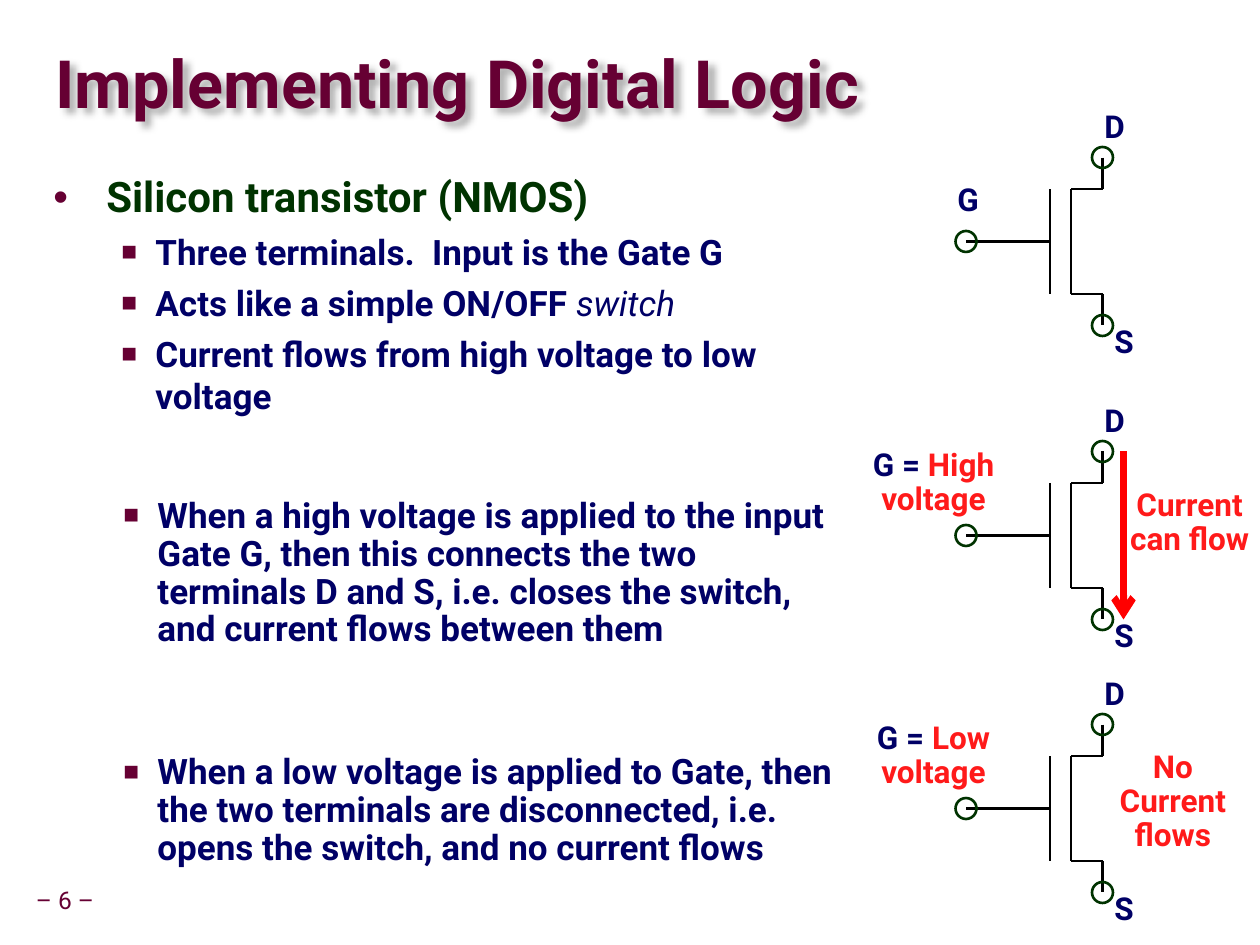
from lxml.etree import SubElement
from pptx import Presentation
from pptx.dml.color import RGBColor
from pptx.enum.shapes import MSO_CONNECTOR, MSO_SHAPE
from pptx.enum.text import MSO_ANCHOR, MSO_AUTO_SIZE, PP_ALIGN
from pptx.oxml.ns import qn
from pptx.util import Inches, Pt

FONT = "Roboto"
MAROON, GREEN, NAVY = "660033", "003300", "000066"
RED, ARROW_RED, BLACK = "FF1A1A", "FF0000", "000000"
COLS_PER_INCH = 12


def grid(n):
    return Inches(n / COLS_PER_INCH)


def color(value):
    return RGBColor.from_string(value)


def add_bullet(p, char, size, left, hang):
    pPr = p._p.get_or_add_pPr()
    pPr.set("marL", str(Inches(left)))
    pPr.set("indent", str(-Inches(hang)))
    clr = SubElement(pPr, qn("a:buClr"))
    SubElement(clr, qn("a:srgbClr"), val=MAROON)
    SubElement(pPr, qn("a:buSzPct"), val=str(size * 1000))
    SubElement(pPr, qn("a:buFont"), typeface="Arial")
    SubElement(pPr, qn("a:buChar"), char=char)


def write(p, runs, size=18, fill=NAVY, bold=True, align=PP_ALIGN.CENTER,
          spacing=0.9, before=0, bullet=None):
    p.alignment = align
    p.line_spacing = spacing
    p.space_before = Pt(before)
    if bullet:
        add_bullet(p, *bullet)
    for text, changes in runs:
        r = p.add_run()
        r.text = text
        f = r.font
        f.name, f.size = FONT, Pt(size)
        f.bold = changes.get("bold", bold)
        f.italic = changes.get("italic", False)
        f.color.rgb = color(changes.get("fill", fill))


def add_text(s, at, lines, wrap=False, anchor=MSO_ANCHOR.TOP, **fmt):
    sp = s.shapes.add_textbox(*map(grid, at))
    tf = sp.text_frame
    tf.word_wrap = wrap
    tf.vertical_anchor = anchor
    tf.auto_size = MSO_AUTO_SIZE.NONE if wrap else MSO_AUTO_SIZE.SHAPE_TO_FIT_TEXT
    for i, line in enumerate(lines):
        runs, changes = line if isinstance(line, tuple) else (line, {})
        if isinstance(runs, str):
            runs = [(runs, {})]
        p = tf.paragraphs[0] if i == 0 else tf.add_paragraph()
        write(p, runs, **{**fmt, **changes})


def add_title(s, text):
    sp = s.shapes.title
    sp.left, sp.top, sp.width, sp.height = map(Inches, (0.44, 0.27, 9.53, 0.85))
    tf = sp.text_frame
    tf.margin_left = tf.margin_right = tf.margin_top = tf.margin_bottom = 0
    tf.vertical_anchor = MSO_ANCHOR.MIDDLE
    tf.auto_size = MSO_AUTO_SIZE.NONE
    write(tf.paragraphs[0], [(text, {})], size=38, fill=MAROON,
          align=PP_ALIGN.LEFT, spacing=0.87)
    effects = SubElement(sp._element.spPr, qn("a:effectLst"))
    shadow = SubElement(effects, qn("a:outerShdw"), blurRad=str(Pt(4)),
                        dist=str(Pt(4)), dir="2700000", algn="tl")
    clr = SubElement(shadow, qn("a:srgbClr"), val=BLACK)
    SubElement(clr, qn("a:alpha"), val="30000")


def add_line(s, x1, y1, x2, y2, fill=BLACK, width=1.5, arrow=False):
    c = s.shapes.add_connector(MSO_CONNECTOR.STRAIGHT, *map(grid, (x1, y1, x2, y2)))
    c.line.color.rgb = color(fill)
    c.line.width = Pt(width)
    if arrow:
        SubElement(c.line._get_or_add_ln(), qn("a:tailEnd"), type="arrow")
    SubElement(c._element.spPr, qn("a:effectLst"))


def add_terminal(s, x, y):
    sp = s.shapes.add_shape(MSO_SHAPE.OVAL, *map(grid, (x - 1, y - 1, 2, 2)))
    sp.shadow.inherit = False
    sp.fill.background()
    sp.line.color.rgb = color(GREEN)
    sp.line.width = Pt(1.5)


def add_transistor(s, top):
    gate, channel, lead = 100, 102, 105
    upper, middle, lower, bottom = (top + n for n in (3, 8, 13, 16))
    for ends in (
        (gate, upper, gate, lower),
        (gate, middle, 92, middle),
        (channel, upper, channel, lower),
        (lead, upper, channel, upper),
        (lead, lower, lead, bottom),
        (lead, lower, channel, lower),
        (lead, top, lead, upper),
    ):
        add_line(s, *ends)
    for x, y in ((92, middle), (lead, bottom), (lead, top)):
        add_terminal(s, x, y)
    add_text(s, (103.85, top - 5, 4.6, 4.6), ["D"])
    add_text(s, (104.85, top + 15.5, 4.4, 4.6), ["S"])


def add_gate_state(s, top, level):
    add_text(s, (81.4, top - 0.8, 15, 7.8),
             [[("G = ", {}), (level, {"fill": RED})], ("voltage", {"fill": RED})])


def main():
    prs = Presentation()
    prs.slide_width, prs.slide_height = Inches(10), Inches(7.5)
    s = prs.slides.add_slide(prs.slide_layouts[5])
    add_title(s, "Implementing Digital Logic")
    add_text(s, (0.2, 84, 12, 3.7), ["– 6 –"], size=14, fill=MAROON,
             bold=False, wrap=True, anchor=MSO_ANCHOR.MIDDLE)

    square = ("■", 75, 0.81, 0.27)
    item = dict(size=20, align=PP_ALIGN.LEFT, bullet=square, wrap=True)
    heading = dict(size=24, fill=GREEN, spacing=0.95, before=0,
                   bullet=("•", 100, 0.42, 0.42))
    add_text(s, (3.9, 16, 77, 40), [
        ("Silicon transistor (NMOS)", heading),
        "Three terminals.  Input is the Gate G",
        [("Acts like a simple ON/OFF ", {}),
         ("switch", {"bold": False, "italic": True})],
        "Current flows from high voltage to low voltage",
    ], spacing=1.0, before=5, **item)
    add_text(s, (4.1, 46.85, 77, 15), [
        "When a high voltage is applied to the input Gate G, then this connects "
        "the two terminals D and S, i.e. closes the switch, and current flows "
        "between them"], **item)
    add_text(s, (4.1, 71.25, 77, 11), [
        "When a low voltage is applied to Gate, then the two terminals are "
        "disconnected, i.e. opens the switch, and no current flows"], **item)

    plain, closed, opened = 15, 43, 69
    for top in (plain, closed, opened):
        add_transistor(s, top)
    add_text(s, (89.8, plain + 2, 4.8, 4.6), ["G"])
    add_gate_state(s, closed, "High")
    add_gate_state(s, opened, "Low")
    add_line(s, 107, closed, 107, closed + 16, ARROW_RED, 4, arrow=True)
    add_text(s, (106.05, closed + 3, 14.5, 7.8), ["Current", "can flow"], fill=RED)
    add_text(s, (104.9, opened + 2, 13.6, 11), ["No", "Current", "flows"], fill=RED)
    prs.save("out.pptx")


if __name__ == "__main__":
    main()
